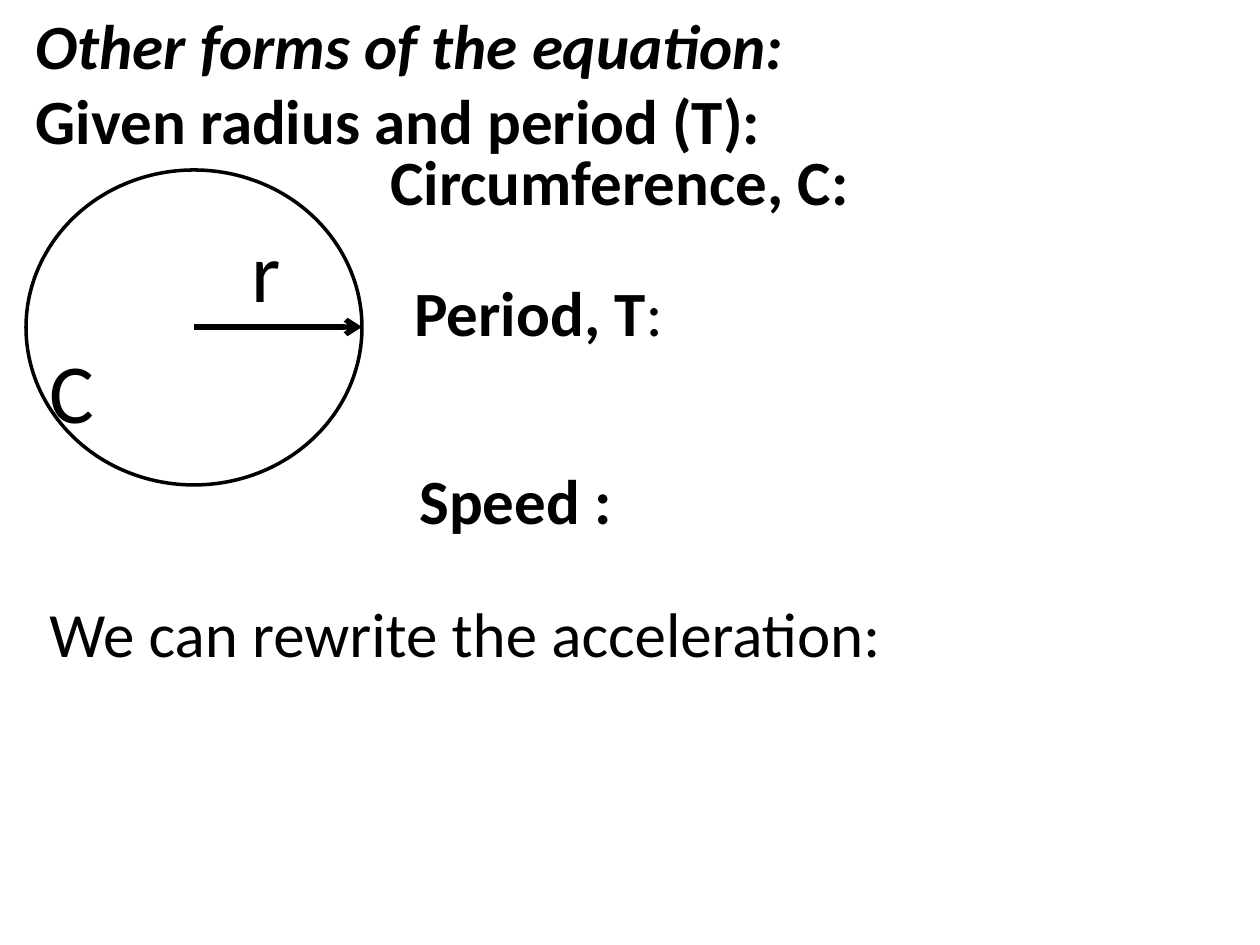
from pptx import Presentation
from pptx import util as u
from pptx.dml.color import RGBColor
from pptx.enum import shapes, text
from pptx.oxml.ns import qn
from lxml import etree

BLACK = RGBColor(0, 0, 0)
FONT = "Calibri"
PX_PER_INCH = 126


def px(length):
    return u.Emu(round(length * u.Inches(1) / PX_PER_INCH))


def add_run(paragraph, wording, size=36, bold=False, italic=False):
    run = paragraph.add_run()
    run.text = wording
    run.font.name = FONT
    run.font.size = u.Pt(size)
    run.font.bold = bold
    run.font.italic = italic
    run.font.color.rgb = BLACK


def fit_frame(frame):
    frame.word_wrap = True
    frame.auto_size = text.MSO_AUTO_SIZE.SHAPE_TO_FIT_TEXT
    frame.vertical_anchor = text.MSO_ANCHOR.TOP


def add_heading(slide, lines, left, top, width, height):
    title = slide.shapes.title
    title.left, title.top = px(left), px(top)
    title.width, title.height = px(width), px(height)
    frame = title.text_frame
    fit_frame(frame)
    for index, (wording, italic) in enumerate(lines):
        paragraph = frame.add_paragraph() if index else frame.paragraphs[0]
        paragraph.alignment = text.PP_ALIGN.LEFT
        add_run(paragraph, wording, bold=True, italic=italic)


def add_label(slide, wording, left, top, width, height=89, suffix="", **style):
    box = slide.shapes.add_textbox(px(left), px(top), px(width), px(height))
    fit_frame(box.text_frame)
    paragraph = box.text_frame.paragraphs[0]
    add_run(paragraph, wording, **style)
    if suffix:
        add_run(paragraph, suffix)


def add_circle(slide, left, top, width, height):
    circle = slide.shapes.add_shape(
        shapes.MSO_SHAPE.OVAL, px(left), px(top), px(width), px(height))
    circle.shadow.inherit = False
    circle.fill.background()
    circle.line.color.rgb = BLACK
    circle.line.width = u.Pt(2)


def add_arrow(slide, start_x, start_y, end_x, end_y):
    arrow = slide.shapes.add_connector(
        shapes.MSO_CONNECTOR.STRAIGHT,
        px(start_x), px(start_y), px(end_x), px(end_y))
    arrow.line.color.rgb = BLACK
    arrow.line.width = u.Pt(3)
    line = arrow.line._get_or_add_ln()
    etree.SubElement(line, qn("a:tailEnd"), type="arrow")
    etree.SubElement(arrow._element.spPr, qn("a:effectLst"))


def main():
    presentation = Presentation()
    presentation.slide_width = u.Inches(10)
    presentation.slide_height = u.Inches(7.5)
    slide = presentation.slides.add_slide(presentation.slide_layouts[5])

    # Heading
    add_heading(slide, [("Other forms of the equation:", True),
                        ("Given radius and period (T):", False)],
                23, 0, 1155, 165)

    # Circle with its radius and circumference
    left, top, width, height = 26, 170, 336, 315
    center_y = top + height // 2
    add_circle(slide, left, top, width, height)
    add_arrow(slide, left + width // 2, center_y, left + width, center_y)
    add_label(slide, "r", 239, 212, 115, 115, size=48)
    add_label(slide, "C", 37, 333, 115, 115, size=48)

    # Quantities to work out
    add_label(slide, "Circumference, C:", 378, 136, 898, bold=True)
    add_label(slide, "Period, T", 402, 267, 785, suffix=":", bold=True)
    add_label(slide, "Speed :", 407, 455, 576, bold=True)
    add_label(slide, "We can rewrite the acceleration:", 37, 588, 945)

    presentation.save("out.pptx")


if __name__ == "__main__":
    main()
